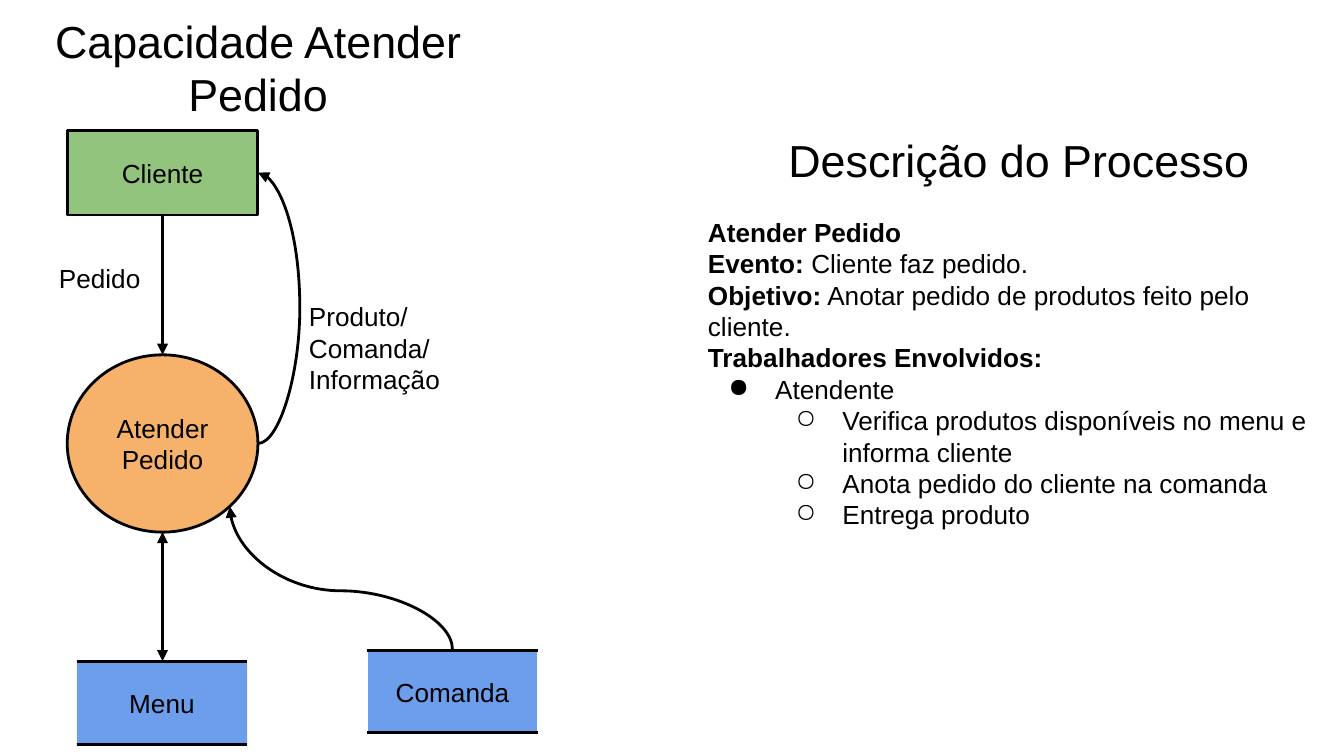
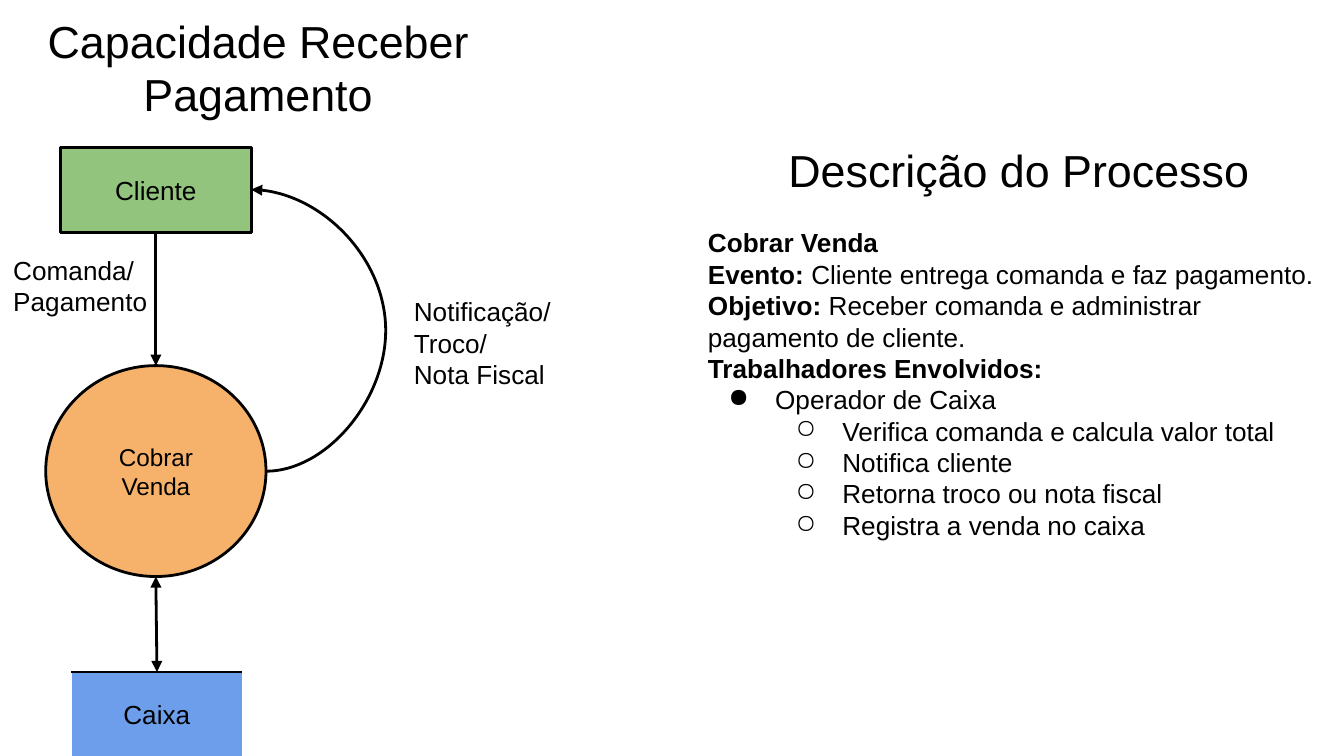
from lxml.etree import SubElement
from pptx import Presentation
from pptx.dml.color import RGBColor
from pptx.enum.shapes import MSO_CONNECTOR, MSO_SHAPE
from pptx.enum.text import MSO_ANCHOR, PP_ALIGN
from pptx.oxml.ns import qn
from pptx.util import Pt

COLORS = {
    "ink": "000000",
    "client": "93C47D",
    "process": "F6B26B",
    "store": "6D9EEB",
    "white": "FFFFFF",
    "pale": "F3F3F3",
}
FONT = "Arial"
INSET = 7.2
BODY, TITLE = 14, 24
CLIENT_SIZE = (102.2, 45.4)
STORE_SIZE = (91.6, 45.4)
BULLETS = {1: "●", 2: "○"}


def color(name):
    return RGBColor.from_string(COLORS[name])


# --- Text ---
def style(paragraph, size, align=PP_ALIGN.LEFT):
    paragraph.alignment = align
    paragraph.font.name = FONT
    paragraph.font.size = Pt(size)
    paragraph.font.color.rgb = color("ink")


def prepare_frame(shape):
    frame = shape.text_frame
    frame.word_wrap = True
    frame.margin_left = frame.margin_right = Pt(INSET)
    frame.margin_top = frame.margin_bottom = Pt(INSET)
    return frame


def write(shape, text, size=BODY, align=PP_ALIGN.LEFT):
    frame = prepare_frame(shape)
    frame.text = text
    for paragraph in frame.paragraphs:
        style(paragraph, size, align)


def add_label(slide, text, box, size=BODY, align=PP_ALIGN.LEFT):
    write(slide.shapes.add_textbox(*map(Pt, box)), text, size, align)


def add_title(slide, text, left, top):
    add_label(slide, text, (left, top, 276.5, 45.4), TITLE, PP_ALIGN.CENTER)


def set_bullet(paragraph, level):
    paragraph.level = level - 1
    props = paragraph._p.get_or_add_pPr()
    props.set("marL", str(Pt(36 * level)))
    props.set("indent", str(Pt(-25)))
    tint = SubElement(props, qn("a:buClr"))
    SubElement(tint, qn("a:srgbClr")).set("val", COLORS["ink"])
    SubElement(props, qn("a:buChar")).set("char", BULLETS[level])


def add_description(slide, top, height, process, event, goal, worker, tasks):
    """Process heading, its event and goal, then the worker with tasks."""
    add_title(slide, "Descrição do Processo", 407.5, top - 45)
    box = slide.shapes.add_textbox(Pt(372.2), Pt(top), Pt(347.8), Pt(height))
    frame = prepare_frame(box)
    lines = [
        (0, process, ""),
        (0, "Evento: ", event),
        (0, "Objetivo:", " " + goal),
        (0, "Trabalhadores Envolvidos: ", ""),
        (1, "", worker),
    ] + [(2, "", task) for task in tasks]
    for number, (level, heading, detail) in enumerate(lines):
        paragraph = frame.add_paragraph() if number else frame.paragraphs[0]
        style(paragraph, BODY)
        if level:
            set_bullet(paragraph, level)
        for text, bold in ((heading, True), (detail, False)):
            if text:
                run = paragraph.add_run()
                run.text = text
                run.font.bold = bold


# --- Diagram nodes ---
def add_node(slide, kind, text, box, fill, outline="ink", weight=1.5, size=BODY):
    node = slide.shapes.add_shape(kind, *map(Pt, box))
    node.shadow.inherit = False
    node.fill.solid()
    node.fill.fore_color.rgb = color(fill)
    node.line.color.rgb = color(outline)
    node.line.width = Pt(weight)
    write(node, text, size, PP_ALIGN.CENTER)
    node.text_frame.vertical_anchor = MSO_ANCHOR.MIDDLE


def add_client(slide, left, top):
    add_node(slide, MSO_SHAPE.RECTANGLE, "Cliente",
             (left, top, *CLIENT_SIZE), "client")


def add_process(slide, text, box, size=BODY):
    add_node(slide, MSO_SHAPE.OVAL, text, box, "process", size=size)


def add_store(slide, text, left, top, edges, outline="white"):
    """Data store: a faintly outlined box with black rules at its edges."""
    width, height = STORE_SIZE
    add_node(slide, MSO_SHAPE.RECTANGLE, text, (left, top, width, height),
             "store", outline, 0.75)
    for y in edges:
        add_flow(slide, (left, y), (left + width, y), tail=False)


# --- Flows ---
def finish_flow(flow, head, tail):
    flow.line.color.rgb = color("ink")
    flow.line.width = Pt(1.5)
    line = flow.line._get_or_add_ln()
    for shown, end in ((head, "a:headEnd"), (tail, "a:tailEnd")):
        if shown:
            SubElement(line, qn(end)).set("type", "triangle")
    SubElement(flow._element.spPr, qn("a:effectLst"))


def add_flow(slide, start, end, head=False, tail=True):
    flow = slide.shapes.add_connector(MSO_CONNECTOR.STRAIGHT,
                                      *map(Pt, (*start, *end)))
    finish_flow(flow, head, tail)


def add_curve(slide, start, end, bend, upright=False):
    """Curve turning at `bend`: an x, or a y when it leaves upright."""
    axis = 1 if upright else 0
    fraction = (bend - start[axis]) / (end[axis] - start[axis])
    if upright:
        # Lay the curve on its side about its centre, then rotate it back
        cx, cy = ((a + b) / 2 for a, b in zip(start, end))
        start, end = ((cx + y - cy, cy - x + cx) for x, y in (start, end))
    flow = slide.shapes.add_connector(MSO_CONNECTOR.CURVE,
                                      *map(Pt, (*start, *end)))
    props = flow._element.spPr
    if upright:
        props.find(qn("a:xfrm")).set("rot", str(90 * 60000))
    guides = props.find(qn("a:prstGeom")).get_or_add_avLst()
    guide = SubElement(guides, qn("a:gd"))
    guide.set("name", "adj1")
    guide.set("fmla", f"val {round(fraction * 100000)}")
    finish_flow(flow, False, True)


# --- Slides ---
def build_order_slide(slide):
    axis = 87.1
    add_client(slide, 36, 69.8)
    add_process(slide, "Atender\nPedido", (36, 190.1, 102.2, 95))
    add_store(slide, "Comanda", 196.6, 347.8, (348.5, 392.4))
    add_store(slide, "Menu", 41, 354.2, (354.2, 398.9), "pale")
    add_flow(slide, (axis, 114.5), (axis, 190.1))
    add_flow(slide, (axis, 285.1), (axis, 354.2), head=True)
    add_curve(slide, (138.2, 237.6), (138.25, 92.5), 158)
    add_curve(slide, (242.4, 347.8), (123.2, 271.4), 316.5, upright=True)
    add_label(slide, "Pedido", (24.5, 133.2, 67.7, 38.9))
    add_label(slide, "Produto/ \nComanda/\nInformação", (158.4, 154, 91.6, 60.5))
    add_title(slide, "Capacidade Atender Pedido", 0, 0)
    add_description(
        slide, 108.7, 187.2, "Atender Pedido", "Cliente faz pedido.",
        "Anotar pedido de produtos feito pelo cliente.", "Atendente",
        ["Verifica produtos disponíveis no menu e informa cliente",
         "Anota pedido do cliente na comanda",
         "Entrega produto"])


def build_payment_slide(slide):
    axis = 83.5
    add_client(slide, 32.4, 79.1)
    add_process(slide, "Cobrar\nVenda", (24.5, 195.9, 118, 113), size=13)
    add_store(slide, "Caixa", 38.2, 360, (360,))
    add_flow(slide, (axis, 124.2), (axis, 195.9))
    add_flow(slide, (axis, 308.9), (84.1, 360), head=True)
    add_curve(slide, (142.5, 252.5), (134.6, 101.6), 206.6)
    add_label(slide, "Notificação/\nTroco/\nNota Fiscal", (214.6, 151.2, 91.6, 75.6))
    add_label(slide, "Comanda/ Pagamento", (0, 128.9, 91.6, 62.6))
    add_title(slide, "Capacidade Receber\nPagamento", 0, 0)
    add_description(
        slide, 114.3, 176.4, "Cobrar Venda",
        "Cliente entrega comanda e faz pagamento.",
        "Receber comanda e administrar pagamento de cliente.",
        "Operador de Caixa",
        ["Verifica comanda e calcula valor total",
         "Notifica cliente",
         "Retorna troco ou nota fiscal",
         "Registra a venda no caixa"])


def main():
    deck = Presentation()
    deck.slide_width, deck.slide_height = Pt(720), Pt(405)
    for build in (build_order_slide, build_payment_slide):
        build(deck.slides.add_slide(deck.slide_layouts[6]))
    deck.save("out.pptx")


main()
